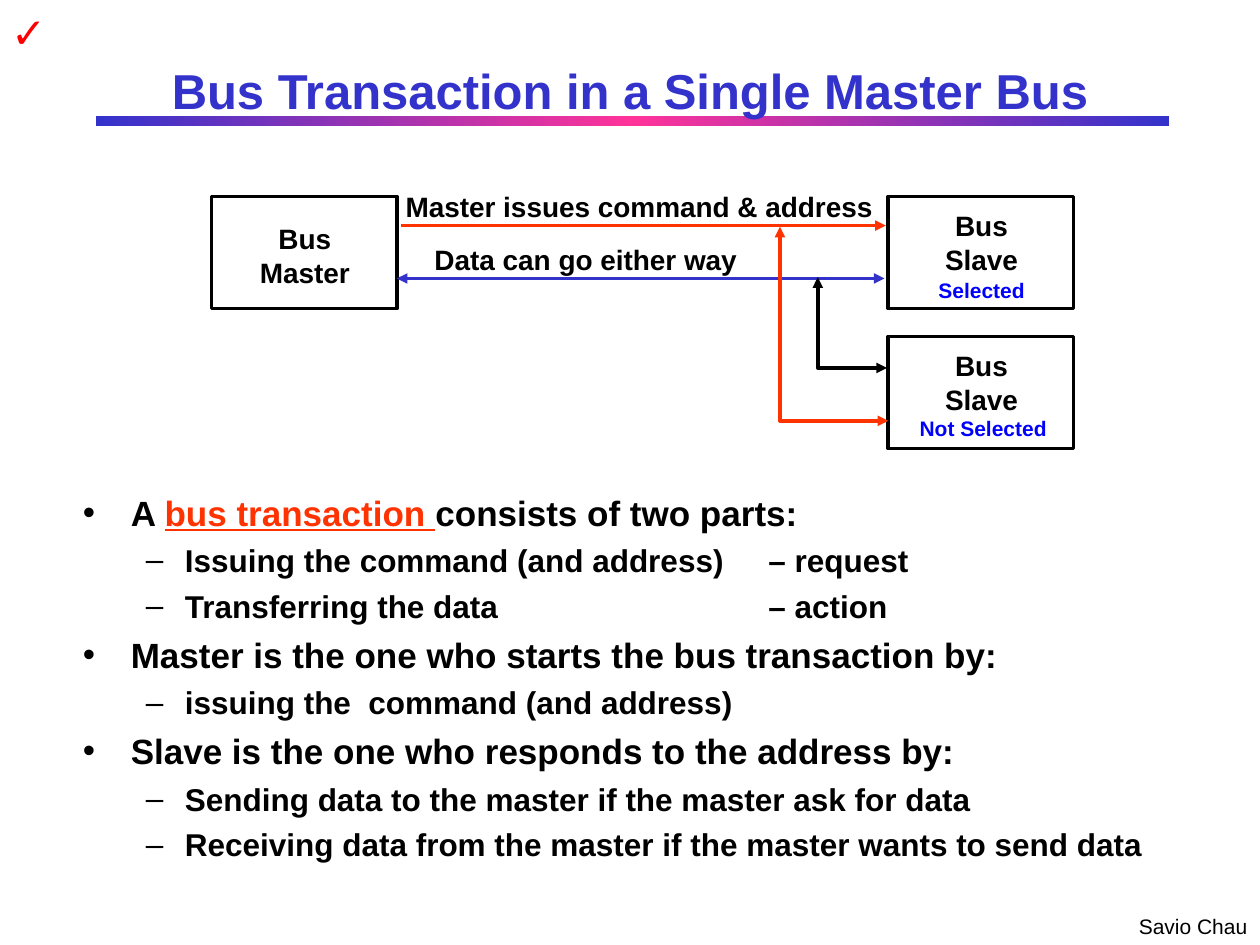
from dataclasses import dataclass

from copy import deepcopy
from pptx import Presentation
from pptx.dml.color import RGBColor
from pptx.enum.shapes import MSO_CONNECTOR, MSO_SHAPE
from pptx.enum.text import MSO_ANCHOR, MSO_AUTO_SIZE, PP_ALIGN
from pptx.oxml.ns import qn
from pptx.oxml.xmlchemy import OxmlElement
from pptx.shapes.base import BaseShape
from pptx.slide import Slide
from pptx.text.text import TextFrame, _Paragraph
from pptx.util import Inches, Pt

BLACK = RGBColor(0x00, 0x00, 0x00)
INDIGO = RGBColor(0x33, 0x33, 0xCC)
PINK = RGBColor(0xFF, 0x33, 0x99)
ORANGE = RGBColor(0xFF, 0x33, 0x00)
BLUE = RGBColor(0x00, 0x00, 0xFF)
RED = RGBColor(0xFF, 0x00, 0x00)
FONT = "Arial"


@dataclass
class Label:
    text: str
    left: float
    top: float
    width: float
    height: float
    size: float = 16
    color: RGBColor = BLACK
    bold: bool = True
    align: PP_ALIGN = PP_ALIGN.LEFT


@dataclass
class Wire:
    points: list[tuple[float, float]]
    color: RGBColor
    two_way: bool = True


@dataclass
class Level:
    bullet: str
    margin: float
    hanging: float
    size: float
    space_before: float


LEVELS = [Level("•", 0.38, 0.38, 20, 5), Level("–", 0.81, 0.31, 18, 4.5)]

UNITS = [(1.68, 1.56), (7.05, 1.56), (7.05, 2.67)]

LABELS = [
    Label("Savio Chau", 8.94, 7.2, 1.06, 0.3, 12, bold=False),
    Label("Bus Transaction in a Single Master Bus", 0.75, 0.42, 8.5, 0.58, 28,
          INDIGO, align=PP_ALIGN.CENTER),
    Label("Bus\nMaster", 1.92, 1.71, 1.0, 0.63, align=PP_ALIGN.CENTER),
    Label("Bus\nSlave", 7.37, 1.61, 0.84, 0.63, align=PP_ALIGN.CENTER),
    Label("Bus\nSlave", 7.37, 2.72, 0.84, 0.63, align=PP_ALIGN.CENTER),
    Label("Selected", 7.35, 2.15, 0.9, 0.3, 12, BLUE),
    Label("Not Selected", 7.2, 3.25, 1.21, 0.3, 12, BLUE),
    Label("Master issues command & address", 3.12, 1.46, 3.91, 0.36),
    Label("Data can go either way", 3.35, 1.88, 2.6, 0.36),
    Label("– request", 6.0, 4.25, 1.4, 0.39, 18),
    Label("– action", 6.0, 4.61, 1.4, 0.39, 18),
    Label("✓", -0.01, 0, 0.47, 0.5, 24, RED),
]

WIRES = [
    Wire([(3.18, 1.79), (7.03, 1.79)], ORANGE, two_way=False),
    Wire([(7.02, 2.21), (3.15, 2.21)], INDIGO),
    Wire([(6.49, 2.2), (6.49, 2.92), (7.04, 2.92)], BLACK),
    Wire([(6.19, 1.8), (6.19, 3.34), (7.05, 3.34)], ORANGE),
]

KEY_TERM = "bus transaction "
OUTLINE = [
    (0, ["A ", KEY_TERM, "consists of two parts:"]),
    (1, ["Issuing the command (and address)"]),
    (1, ["Transferring the data"]),
    (0, ["Master is the one who starts the bus transaction by:"]),
    (1, ["issuing the  command (and address)"]),
    (0, ["Slave is the one who responds to the address by:"]),
    (1, ["Sending data to the master if the master ask for data"]),
    (1, ["Receiving data from the master if the master wants to send data"]),
]


def format_runs(p: _Paragraph, size: float, color: RGBColor, bold: bool) -> None:
    for r in p.runs:
        r.font.name = FONT
        r.font.size = Pt(size)
        r.font.bold = bold
        r.font.color.rgb = color


def add_text_frame(s: Slide, left: float, top: float, width: float, height: float) -> TextFrame:
    box = s.shapes.add_textbox(Inches(left), Inches(top), Inches(width), Inches(height))
    return box.text_frame


def add_label(s: Slide, label: Label) -> None:
    tf = add_text_frame(s, label.left, label.top, label.width, label.height)
    tf.word_wrap = False
    tf.auto_size = MSO_AUTO_SIZE.SHAPE_TO_FIT_TEXT
    tf.vertical_anchor = MSO_ANCHOR.MIDDLE
    tf.text = label.text
    for p in tf.paragraphs:
        p.alignment = label.align
        format_runs(p, label.size, label.color, label.bold)


def add_title_bar(s: Slide) -> None:
    bar = s.shapes.add_shape(MSO_SHAPE.RECTANGLE, Inches(0.76), Inches(0.92),
                             Inches(8.52), Inches(0.08))
    bar.shadow.inherit = False
    bar.line.fill.background()
    bar.fill.gradient()
    bar.fill.gradient_angle = 0
    stops = bar._element.spPr.find(qn("a:gradFill")).find(qn("a:gsLst"))
    stops.append(deepcopy(stops[0]))
    colors = (INDIGO, PINK, INDIGO)
    for i, (stop, color) in enumerate(zip(bar.fill.gradient_stops, colors)):
        stop.position = i / 2
        stop.color.rgb = color


def add_unit(s: Slide, left: float, top: float) -> None:
    sp = s.shapes.add_shape(MSO_SHAPE.RECTANGLE, Inches(left), Inches(top),
                            Inches(1.47), Inches(0.89))
    sp.shadow.inherit = False
    sp.fill.background()
    sp.line.color.rgb = BLACK
    sp.line.width = Pt(2)


def add_wire_shape(s: Slide, wire: Wire) -> BaseShape:
    points = [(Inches(x), Inches(y)) for x, y in wire.points]
    if len(points) == 2:
        line = s.shapes.add_connector(MSO_CONNECTOR.STRAIGHT, *points[0], *points[1])
        line._element.spPr.append(OxmlElement("a:effectLst"))
        return line
    builder = s.shapes.build_freeform(*points[0])
    builder.add_line_segments(points[1:], close=False)
    sp = builder.convert_to_shape()
    sp.shadow.inherit = False
    sp.fill.background()
    return sp


def add_wire(s: Slide, wire: Wire) -> None:
    sp = add_wire_shape(s, wire)
    sp.line.color.rgb = wire.color
    sp.line.width = Pt(2)
    ln = sp.line._get_or_add_ln()
    for tag in ("a:headEnd", "a:tailEnd") if wire.two_way else ("a:tailEnd",):
        end = OxmlElement(tag)
        end.set("type", "triangle")
        ln.append(end)


def set_bullet(p: _Paragraph, level: Level) -> None:
    pPr = p._p.get_or_add_pPr()
    pPr.set("marL", str(Inches(level.margin)))
    pPr.set("indent", str(-Inches(level.hanging)))
    for tag, name, value in (("a:buFont", "typeface", FONT), ("a:buChar", "char", level.bullet)):
        bullet = OxmlElement(tag)
        bullet.set(name, value)
        pPr.append(bullet)


def add_outline(s: Slide) -> None:
    tf = add_text_frame(s, 0.56, 3.85, 8.87, 3.1)
    tf.word_wrap = True
    for i, (depth, pieces) in enumerate(OUTLINE):
        level = LEVELS[depth]
        p = tf.add_paragraph() if i else tf.paragraphs[0]
        p.level = depth
        p.space_before = Pt(level.space_before)
        set_bullet(p, level)
        for piece in pieces:
            p.add_run().text = piece
        format_runs(p, level.size, BLACK, True)
        for r in p.runs:
            if r.text == KEY_TERM:
                r.font.color.rgb = ORANGE
                r.font.underline = True


def main() -> None:
    prs = Presentation()
    prs.slide_width, prs.slide_height = Inches(10), Inches(7.5)
    s = prs.slides.add_slide(prs.slide_layouts[6])
    add_title_bar(s)
    add_outline(s)
    for left, top in UNITS:
        add_unit(s, left, top)
    for wire in WIRES:
        add_wire(s, wire)
    for label in LABELS:
        add_label(s, label)
    prs.save("out.pptx")


if __name__ == "__main__":
    main()
